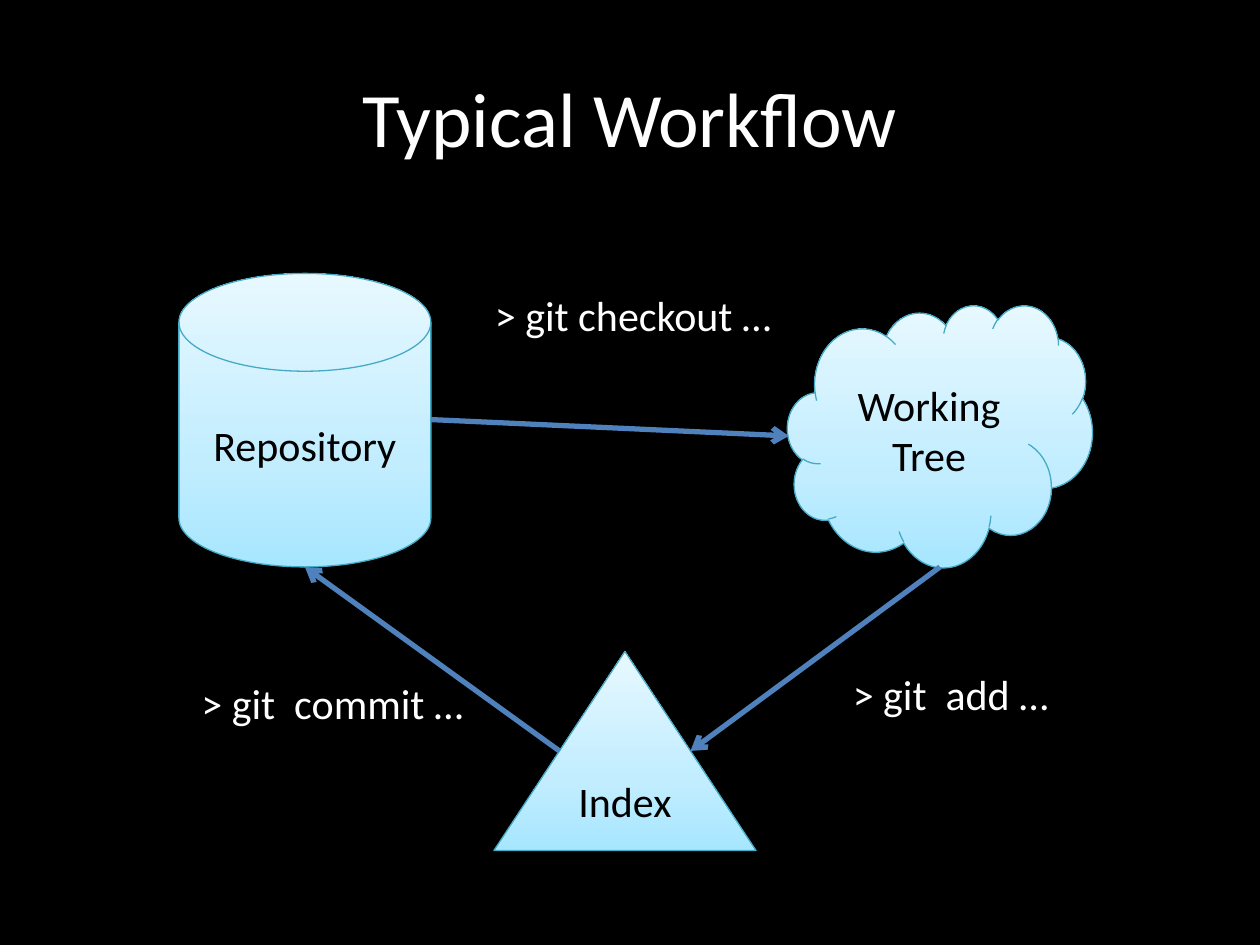
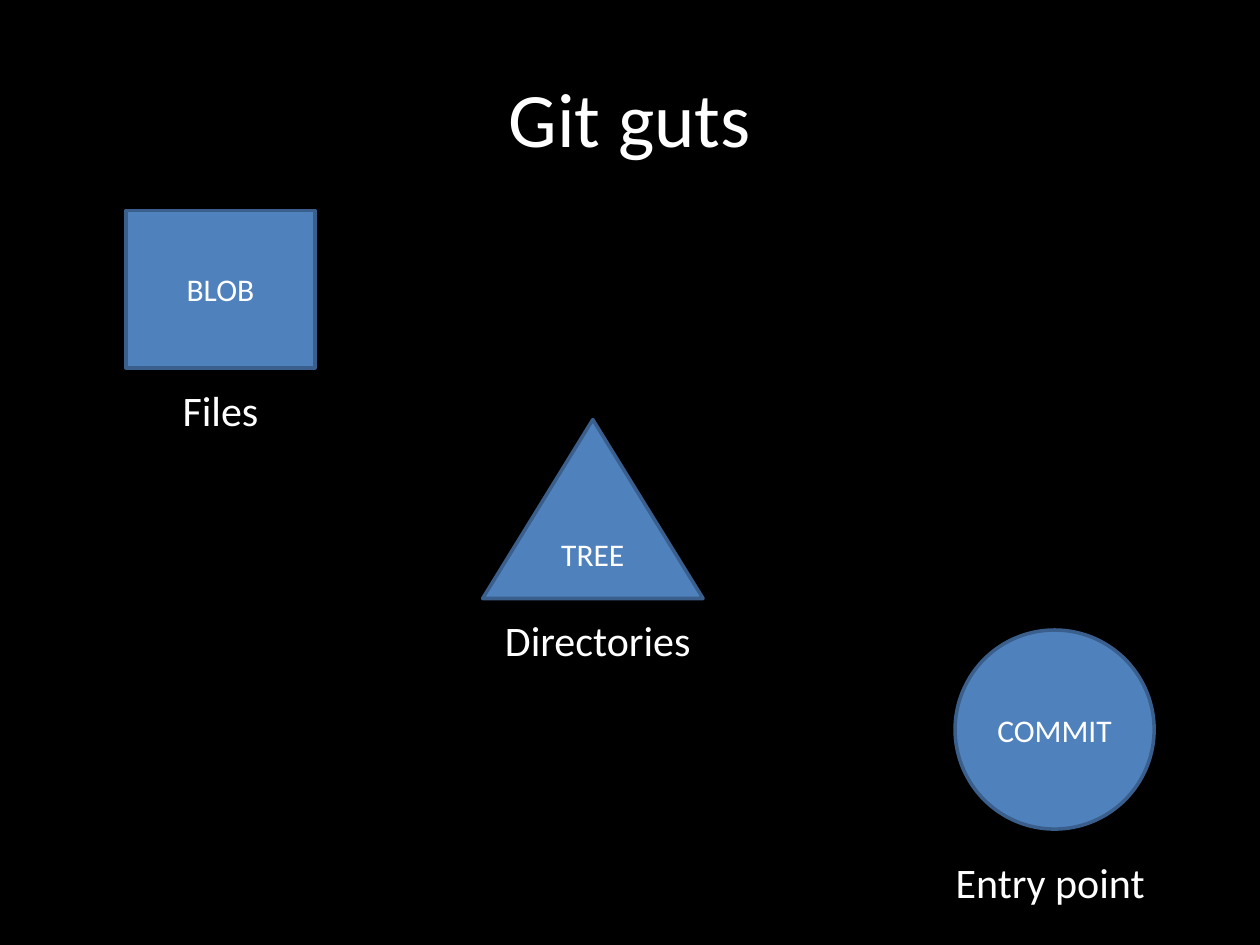
from copy import deepcopy

from lxml.etree import SubElement
from pptx import Presentation
from pptx.dml.color import RGBColor
from pptx.enum.shapes import MSO_CONNECTOR, MSO_SHAPE
from pptx.enum.text import MSO_ANCHOR, MSO_AUTO_SIZE, PP_ALIGN
from pptx.oxml.ns import qn
from pptx.util import Inches, Pt

THEME = {
    "back": RGBColor.from_string("000000"),
    "white": RGBColor.from_string("FFFFFF"),
    "black": RGBColor.from_string("000000"),
    "blue": RGBColor.from_string("4F81BD"),
    "navy": RGBColor.from_string("3A5F8C"),
    "teal": RGBColor.from_string("46AAC5"),
    "fade": [(0, "A7E6FF"), (0.35, "C1EDFF"), (1, "E7F8FF")],
    "title": {"name": "Calibri", "size": Pt(44)},
    "label": {"name": "Calibri", "size": Pt(24)},
    "small": {"name": "Calibri", "size": Pt(18)},
}


def write(shape, text, style, color="white", align=PP_ALIGN.CENTER, anchor=MSO_ANCHOR.MIDDLE):
    frame = shape.text_frame
    for name, value in {"word_wrap": True, "vertical_anchor": anchor, "text": text}.items():
        setattr(frame, name, value)
    para = frame.paragraphs[0]
    para.alignment = align
    for name, value in THEME[style].items():
        setattr(para.font, name, value)
    para.font.color.rgb = THEME[color]


def label(slide, box, text, align):
    """Add a caption whose box grows with its text."""
    shape = slide.shapes.add_textbox(*map(Inches, box))
    write(shape, text, "label", align=align, anchor=MSO_ANCHOR.TOP)
    shape.text_frame.auto_size = MSO_AUTO_SIZE.SHAPE_TO_FIT_TEXT


deck = Presentation()
deck.slide_width, deck.slide_height = Inches(10), Inches(7.5)

# Both slides: black background and centred title
slides = []
for title in ["Typical Workflow", "Git guts"]:
    slide = deck.slides.add_slide(deck.slide_layouts[6])
    slide.background.fill.solid()
    slide.background.fill.fore_color.rgb = THEME["back"]
    head = slide.shapes.add_textbox(Inches(0.5), Inches(0.3), Inches(9), Inches(1.25))
    write(head, title, "title")
    slides.append(slide)
flow, guts = slides

# Workflow: the three places a file can be
places = [
    (MSO_SHAPE.FLOWCHART_MAGNETIC_DISK, (1.42, 2.17, 2, 2.33), "Repository"),
    (MSO_SHAPE.ISOSCELES_TRIANGLE, (3.92, 5.17, 2.08, 1.58), "Index"),
    (MSO_SHAPE.CLOUD, (6.25, 2.42, 2.42, 2.08), "Working Tree"),
]
for kind, box, text in places:
    place = flow.shapes.add_shape(kind, *map(Inches, box))
    place.shadow.inherit = False
    place.fill.gradient()
    place.fill.gradient_angle = 90
    stops = place.element.spPr.find(qn("a:gradFill")).find(qn("a:gsLst"))
    stops.insert(1, deepcopy(stops[0]))
    for stop, (spot, color) in zip(place.fill.gradient_stops, THEME["fade"]):
        stop.position = spot
        stop.color.rgb = RGBColor.from_string(color)
    place.line.color.rgb = THEME["teal"]
    place.line.width = Pt(0.75)
    write(place, text, "label", "black")

# Workflow: arrows between the places
arrows = [
    (3.42, 3.33, 6.26, 3.46),
    (7.46, 4.5, 5.48, 5.96),
    (4.44, 5.96, 2.42, 4.5),
]
for ends in arrows:
    arrow = flow.shapes.add_connector(MSO_CONNECTOR.STRAIGHT, *map(Inches, ends))
    arrow.line.color.rgb = THEME["blue"]
    arrow.line.width = Pt(3)
    SubElement(arrow.line._get_or_add_ln(), qn("a:tailEnd"), type="arrow")
    SubElement(arrow._element.spPr, qn("a:effectLst"))

# Workflow: the command beside each arrow
steps = [
    (3.83, 2.25, "> git checkout …"),
    (6.67, 5.26, "> git  add …"),
    (1.5, 5.33, "> git  commit …"),
]
for left, top, text in steps:
    label(flow, (left, top, 2.58, 0.5), text, PP_ALIGN.LEFT)

# Guts: object kinds, each with a caption below
parts = [
    (MSO_SHAPE.RECTANGLE, (1, 1.67, 1.5, 1.25), "BLOB", (1, 3, 1.5, 0.5), "Files"),
    (MSO_SHAPE.ISOSCELES_TRIANGLE, (3.83, 3.33, 1.75, 1.42), "TREE",
     (3.83, 4.83, 1.83, 0.5), "Directories"),
    (MSO_SHAPE.OVAL, (7.58, 5, 1.58, 1.58), "COMMIT", (7, 6.75, 2.67, 0.5), "Entry point"),
]
for kind, box, text, below, note in parts:
    part = guts.shapes.add_shape(kind, *map(Inches, box))
    part.shadow.inherit = False
    part.fill.solid()
    part.fill.fore_color.rgb = THEME["blue"]
    part.line.color.rgb = THEME["navy"]
    part.line.width = Pt(2)
    write(part, text, "small")
    label(guts, below, note, PP_ALIGN.CENTER)

deck.save("out.pptx")
